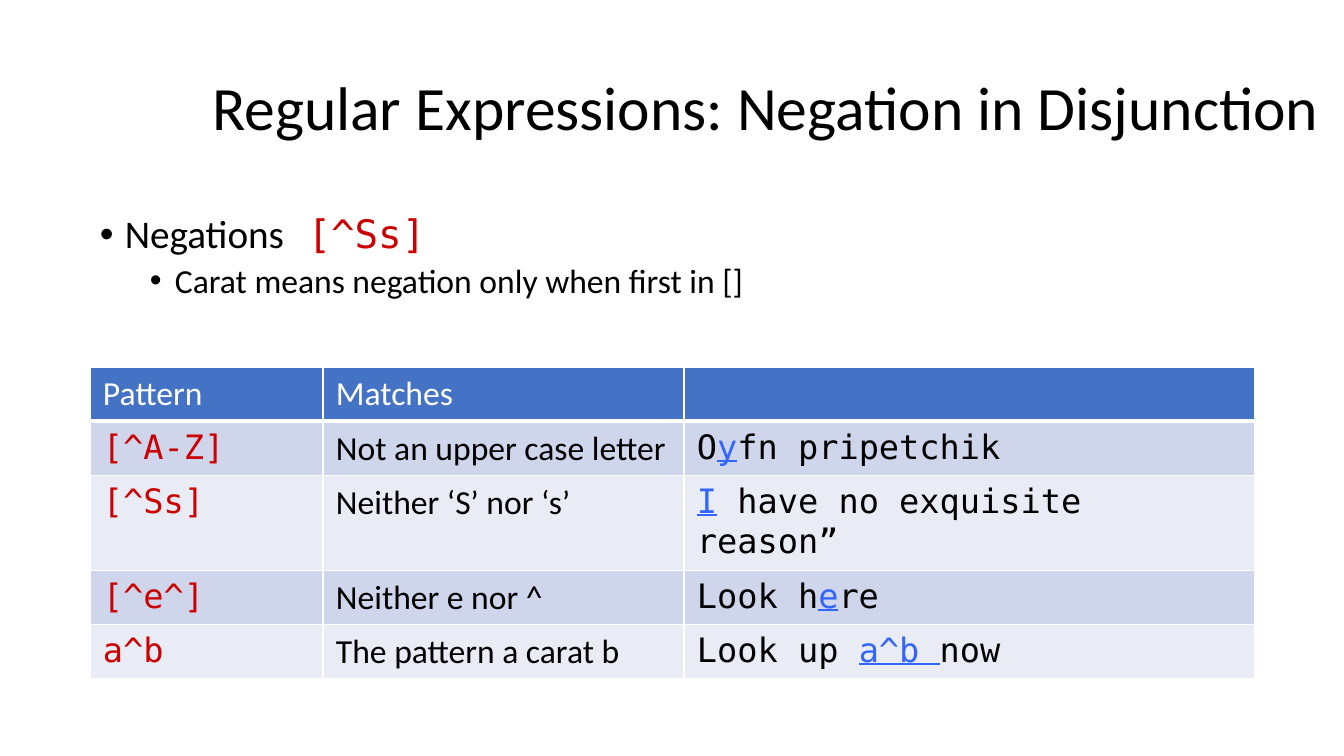
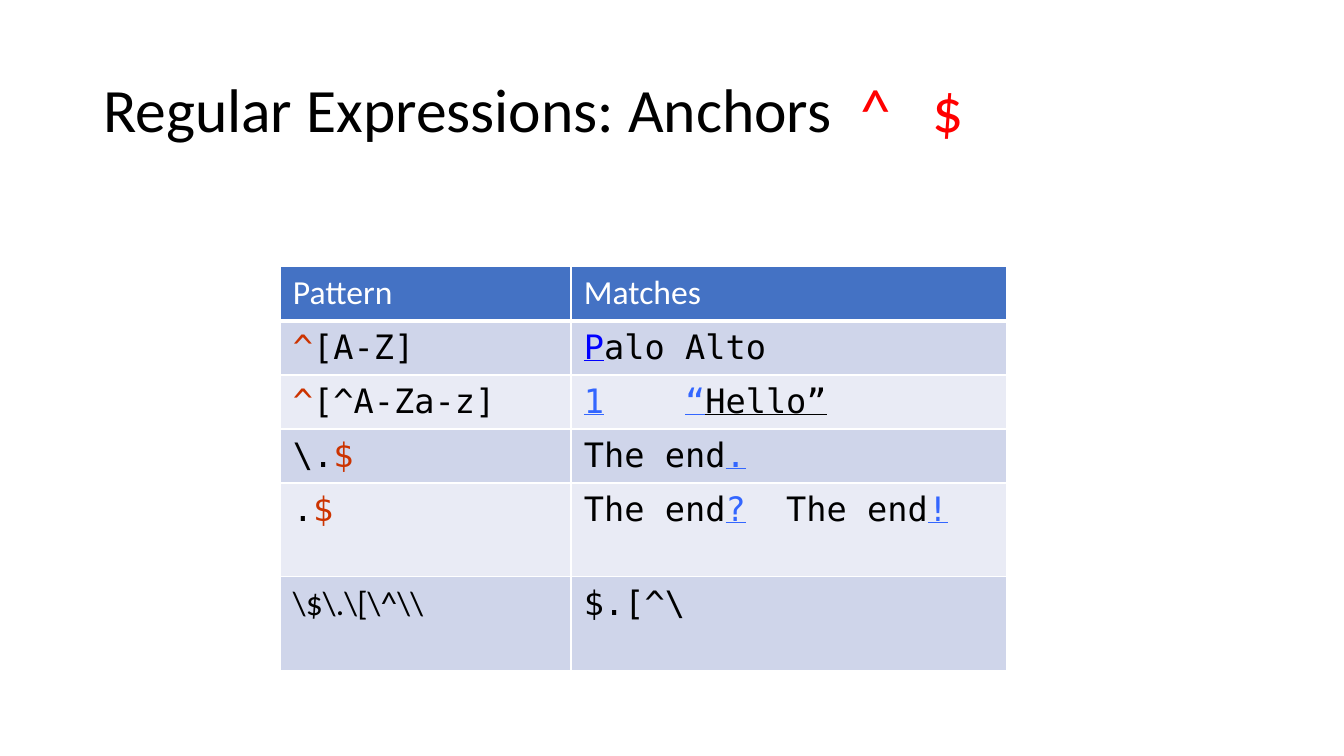
from lxml import etree
from pptx import Presentation
from pptx.dml.color import RGBColor
from pptx.enum.text import MSO_ANCHOR, MSO_AUTO_SIZE, PP_ALIGN
from pptx.oxml.ns import qn
from pptx.util import Pt

LEFT = PP_ALIGN.LEFT
TOP = MSO_ANCHOR.TOP
MIDDLE = MSO_ANCHOR.MIDDLE
NO_AUTOFIT = MSO_AUTO_SIZE.NONE

EMU_PER_PX = 914400 / 100.8
SLIDE_SIZE = (1344, 756)
TITLE_ONLY = 5

BLACK = RGBColor(0x00, 0x00, 0x00)
WHITE = RGBColor(0xFF, 0xFF, 0xFF)
HEADER_BLUE = RGBColor(0x44, 0x72, 0xC4)
BANDS = (RGBColor(0xCF, 0xD5, 0xEA), RGBColor(0xE9, 0xEB, 0xF5))
PATTERN_RED = RGBColor(0xCC, 0x00, 0x00)
ANCHOR_RED = RGBColor(0xCC, 0x33, 0x00)
TITLE_RED = RGBColor(0xFF, 0x00, 0x00)
MATCH_BLUE = RGBColor(0x33, 0x66, 0xFF)
PURE_BLUE = RGBColor(0x00, 0x00, 0xFF)

SANS = "Calibri"
MONO = "DejaVu Sans Mono"
TITLE_SIZE = 44
CELL_SIZE = 24
CELL_INSET_X, CELL_INSET_Y = 13, 7
ROW_HEIGHT, TALL_ROW = 54, 94

STYLES = {
    "plain": dict(font=SANS, color=BLACK),
    "header": dict(font=SANS, color=WHITE),
    "title_mark": dict(font=SANS, color=TITLE_RED),
    "code": dict(font=MONO, color=BLACK),
    "pattern": dict(font=MONO, color=PATTERN_RED),
    "anchor": dict(font=MONO, color=ANCHOR_RED),
    "match": dict(font=MONO, color=MATCH_BLUE, underline=True),
    "first_match": dict(font=MONO, color=PURE_BLUE, underline=True),
    "code_underlined": dict(font=MONO, color=BLACK, underline=True),
    "match_gap": dict(font=MONO, color=MATCH_BLUE),
}

SLIDES = [
    {
        "title": [("Regular Expressions: Negation in Disjunction", "plain")],
        "title_box": (202, 56, 1142, 109),
        "bullets_box": (90, 210, 1120, 110),
        "bullets": [
            dict(runs=[("Negations", "plain"), (" [^Ss]", "pattern")],
                 size=28, level=0, indent=25, before=10),
            dict(runs=[("Carat means negation only when first in []", "plain")],
                 size=24, level=1, indent=75, before=5),
        ],
        "table_at": (90, 367),
        "columns": [233, 361, 571],
        "row_heights": [ROW_HEIGHT] * 5,
        "rows": [
            [[("Pattern", "header")], [("Matches", "header")], []],
            [[("[^A-Z]", "pattern")], [("Not an upper case letter", "plain")],
             [("O", "code"), ("y", "match"), ("fn pripetchik", "code")]],
            [[("[^Ss]", "pattern")], [("Neither ‘S’ nor ‘s’", "plain")],
             [("I", "match"), (" have no exquisite reason”", "code")]],
            [[("[^e^]", "pattern")], [("Neither e nor ^", "plain")],
             [("Look h", "code"), ("e", "match"), ("re", "code")]],
            [[("a^b", "pattern")], [("The pattern a carat b", "plain")],
             [("Look up ", "code"), ("a^b ", "match"), ("now", "code")]],
        ],
    },
    {
        "title": [("Regular Expressions: Anchors  ", "plain"), ("^   $", "title_mark")],
        "title_box": (93, 40, 1159, 146),
        "bullets": [],
        "table_at": (280, 266),
        "columns": [291, 436],
        "row_heights": [ROW_HEIGHT] * 4 + [TALL_ROW] * 2,
        "rows": [
            [[("Pattern", "header")], [("Matches", "header")]],
            [[("^", "anchor"), ("[A-Z]", "code")],
             [("P", "first_match"), ("alo Alto", "code")]],
            [[("^", "anchor"), ("[^A-Za-z]", "code")],
             [("1", "match"), ("    ", "match_gap"), ("“", "match"),
              ("Hello”", "code_underlined")]],
            [[("\\.", "code"), ("$", "anchor")],
             [("The end", "code"), (".", "match")]],
            [[(".", "code"), ("$", "anchor")],
             [("The end", "code"), ("?", "match"), ("  ", "match_gap"),
              ("The end", "code"), ("!", "match")]],
            [[("\\$\\.\\[\\^\\\\", "plain")], [("$.[^\\", "code")]],
        ],
    },
]


def px(value):
    return round(value * EMU_PER_PX)


def write(paragraph, runs, size, spacing=None, before=None):
    paragraph.alignment = LEFT
    if spacing is not None:
        paragraph.line_spacing = spacing
    if before is not None:
        paragraph.space_before = Pt(before)
    for text, style_name in runs:
        style = STYLES[style_name]
        run = paragraph.add_run()
        run.text = text
        run.font.name = style["font"]
        run.font.size = Pt(size)
        run.font.bold = False
        run.font.underline = style.get("underline", False)
        run.font.color.rgb = style["color"]


def add_title(slide, runs, box):
    title = slide.shapes.title
    title.left, title.top, title.width, title.height = map(px, box)
    frame = title.text_frame
    frame.word_wrap = True
    frame.auto_size = NO_AUTOFIT
    frame.vertical_anchor = MIDDLE
    write(frame.paragraphs[0], runs, TITLE_SIZE, spacing=0.9)


def add_bullets(slide, bullets, box):
    frame = slide.shapes.add_textbox(*map(px, box)).text_frame
    frame.word_wrap = True
    for index, bullet in enumerate(bullets):
        paragraph = frame.add_paragraph() if index else frame.paragraphs[0]
        paragraph.level = bullet["level"]
        write(paragraph, bullet["runs"], bullet["size"], spacing=0.9, before=bullet["before"])
        properties = paragraph._p.get_or_add_pPr()
        properties.set("marL", str(px(bullet["indent"])))
        properties.set("indent", str(px(-25)))
        etree.SubElement(properties, qn("a:buFont"), typeface="Arial")
        etree.SubElement(properties, qn("a:buChar"), char="•")


def set_borders(cell, bottom):
    properties = cell._tc.get_or_add_tcPr()
    sides = (("a:lnL", 1), ("a:lnR", 1), ("a:lnT", 1), ("a:lnB", bottom))
    for position, (side, width) in enumerate(sides):
        line = etree.Element(qn(side), w=str(Pt(width)))
        fill = etree.SubElement(line, qn("a:solidFill"))
        etree.SubElement(fill, qn("a:srgbClr"), val=str(WHITE))
        properties.insert(position, line)


def add_pattern_table(slide, rows, at, columns, row_heights):
    size = (sum(columns), sum(row_heights))
    table = slide.shapes.add_table(len(rows), len(columns), *map(px, at + size)).table
    table.horz_banding = False
    for column, width in zip(table.columns, columns):
        column.width = px(width)
    for row_index, (row, height) in enumerate(zip(rows, row_heights)):
        table.rows[row_index].height = px(height)
        is_header = row_index == 0
        for column_index, runs in enumerate(row):
            cell = table.cell(row_index, column_index)
            cell.margin_left = cell.margin_right = px(CELL_INSET_X)
            cell.margin_top = cell.margin_bottom = px(CELL_INSET_Y)
            cell.vertical_anchor = TOP
            cell.fill.solid()
            cell.fill.fore_color.rgb = HEADER_BLUE if is_header else BANDS[(row_index - 1) % 2]
            set_borders(cell, bottom=3 if is_header else 1)
            write(cell.text_frame.paragraphs[0], runs, CELL_SIZE)


def main():
    deck = Presentation()
    deck.slide_width, deck.slide_height = map(px, SLIDE_SIZE)
    for content in SLIDES:
        slide = deck.slides.add_slide(deck.slide_layouts[TITLE_ONLY])
        add_title(slide, content["title"], content["title_box"])
        if content["bullets"]:
            add_bullets(slide, content["bullets"], content["bullets_box"])
        add_pattern_table(slide, content["rows"], content["table_at"],
                          content["columns"], content["row_heights"])
    deck.save("out.pptx")


if __name__ == "__main__":
    main()
